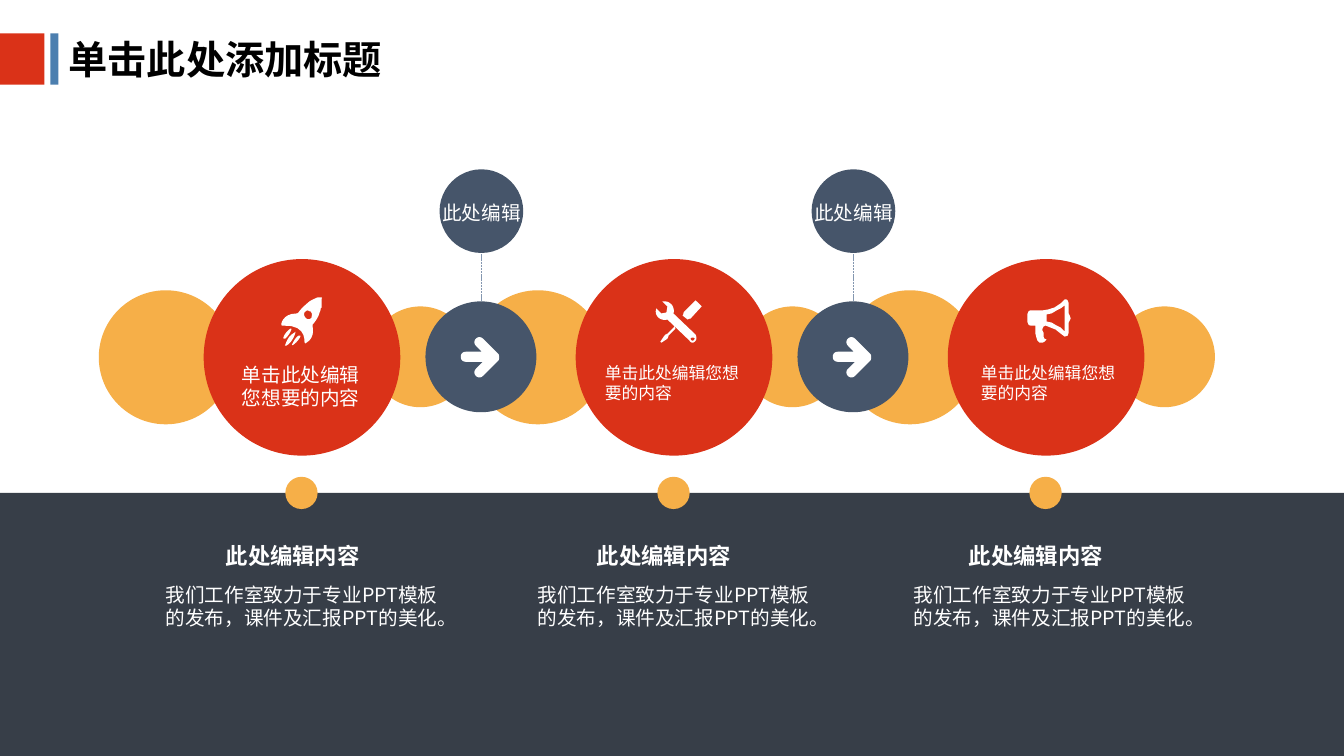
from dataclasses import dataclass

from lxml.etree import SubElement
from pptx import Presentation
from pptx.dml.color import RGBColor
from pptx.enum.dml import MSO_LINE
from pptx.enum.shapes import MSO_CONNECTOR, MSO_SHAPE
from pptx.enum.text import MSO_ANCHOR, MSO_AUTO_SIZE, PP_ALIGN
from pptx.oxml.ns import qn
from pptx.util import Inches, Pt


@dataclass(frozen=True)
class Theme:
    font: str = "Noto Sans CJK SC"
    black: str = "000000"
    white: str = "FFFFFF"
    red: str = "DA3218"
    blue: str = "4C7FAF"
    amber: str = "F6AF48"
    slate: str = "46556A"
    band: str = "222A35"
    dash: str = "8497B0"
    title_size: int = 28
    heading_size: int = 16
    body_size: int = 14
    small_size: int = 12


# Icon outlines in hundredths of an inch: M move, L line, C Bezier curve.
ARROW = """M 37 17 L 22 2 C 20 0 17 0 15 2 C 13 4 13 7 15 9 L 21 15 L 5 15
C 2 15 0 17 0 20 C 0 23 2 25 5 25 L 22 25 L 15 32 C 13 34 13 37 15 39
C 17 41 20 41 22 39 L 37 24 C 38 23 38 22 38 20 C 38 19 38 18 37 17"""
ROCKET = """M 19 38 L 19 39 C 18 41 15 45 12 47 C 11 48 10 47 11 46 C 12 44 14 40 17 38
M 14 34 L 14 35 C 13 39 10 45 5 48 C 4 48 3 48 4 47 C 5 44 7 38 13 35
M 10 31 L 10 32 C 9 35 7 38 4 41 C 2 41 2 41 2 40 C 3 37 5 34 9 31
M 26 13 C 25 13 24 14 23 15 C 22 17 23 20 25 21 C 26 22 29 22 30 20 L 30 19
C 31 17 30 15 29 14 C 28 14 27 13 26 13
M 39 0 L 40 0 C 41 1 40 1 40 1 L 40 10 C 39 11 39 11 39 12 C 39 13 38 15 38 15
C 37 19 35 22 32 26 C 31 26 31 28 31 29 C 32 33 32 41 25 45 C 24 46 23 46 23 44
C 23 39 22 27 1 28 C 0 28 0 27 0 26 C 1 22 5 16 15 16 C 16 16 17 15 17 15
C 19 12 23 8 28 4 C 31 2 34 1 36 0"""
TOOLS = """M 37 37 C 36 37 35 37 35 38 C 35 39 36 40 37 40 C 38 40 39 39 39 38 C 39 37 38 37 37 37
M 19 26 L 20 28 13 35 13 36 12 38 6 42 5 41 9 35 11 33 11 34
M 9 1 C 12 1 14 2 16 4 C 18 6 19 10 18 13 L 40 34 C 41 36 41 39 40 40
C 39 41 38 42 37 42 C 36 42 34 41 34 40 L 12 19 C 9 20 5 19 3 17
C 0 14 0 11 1 8 L 6 13 11 12 12 6 7 1
M 40 0 L 46 6 35 18 C 34 18 32 19 32 19 L 27 15 C 28 14 28 13 28 12"""
MEGAPHONE = """M 43 19 L 42 21 41 23 41 33 40 36 37 37 33 34 28 30 23 28 18 26 16 27 15 29 15 31
16 33 16 35 16 37 17 39 19 40 17 42 15 43 12 43 10 41 9 38 8 34 8 30 8 26 4 26
C 3 26 2 26 1 25 C 1 24 0 23 0 22 L 0 15 C 0 14 1 13 1 12 C 2 11 3 11 4 11
L 15 11 21 10 27 8 33 4 37 0 C 38 0 39 0 40 1 C 40 2 41 3 41 4 L 41 14 42 16
M 37 6 L 33 9 29 11 24 14 19 15 19 22 24 23 29 26 33 28 37 32"""


def flatten(outline, steps=6):
    """Turn an outline into one list of points, in inches, for each contour."""
    contours = []
    for segment in outline.replace("M", "|M").replace("L", "|L").replace("C", "|C").split("|")[1:]:
        command, *numbers = segment.split()
        values = [int(number) / 100 for number in numbers]
        points = list(zip(values[::2], values[1::2]))
        if command == "M":
            contours.append(points)
        elif command == "L":
            contours[-1] += points
        else:
            curve = [contours[-1][-1], *points]
            for step in range(1, steps + 1):
                t = step / steps
                weights = ((1 - t) ** 3, 3 * t * (1 - t) ** 2, 3 * t * t * (1 - t), t ** 3)
                contours[-1].append(tuple(
                    sum(weight * point[axis] for weight, point in zip(weights, curve))
                    for axis in (0, 1)))
    return contours


class SlideBuilder:
    def __init__(self, page, theme):
        self.page, self.theme = page, theme

    def paint(self, shape, color):
        shape.fill.solid()
        shape.fill.fore_color.rgb = RGBColor.from_string(color)
        shape.line.fill.background()
        shape.shadow.inherit = False
        return shape

    def shape(self, kind, left, top, width, height, color):
        area = map(Inches, (left, top, width, height))
        return self.paint(self.page.shapes.add_shape(kind, *area), color)

    def rectangle(self, left, top, width, height, color, opacity=100):
        box = self.shape(MSO_SHAPE.RECTANGLE, left, top, width, height, color)
        if opacity < 100:
            tint = box._element.spPr.find(".//" + qn("a:srgbClr"))
            SubElement(tint, qn("a:alpha"), val=str(opacity * 1000))

    def circle(self, left, top, size, color):
        self.shape(MSO_SHAPE.OVAL, left, top, size, size, color)

    def icon(self, outline, left, top):
        contours = [[(Inches(left + x), Inches(top + y)) for x, y in contour]
                    for contour in flatten(outline)]
        builder = self.page.shapes.build_freeform(*contours[0][0])
        for index, (start, *rest) in enumerate(contours):
            if index:
                builder.move_to(*start)
            builder.add_line_segments(rest, close=True)
        self.paint(builder.convert_to_shape(), self.theme.white)

    def dashed_line(self, x, top, bottom):
        line = self.page.shapes.add_connector(
            MSO_CONNECTOR.STRAIGHT, *map(Inches, (x, bottom, x, top)))
        line.line.color.rgb = RGBColor.from_string(self.theme.dash)
        line.line.width = Pt(0.5)
        line.line.dash_style = MSO_LINE.SQUARE_DOT
        SubElement(line._element.spPr, qn("a:effectLst"))

    def set_text(self, box, text, *, size, color=None, bold=False, align=PP_ALIGN.LEFT, wrap=True):
        frame = box.text_frame
        frame.word_wrap = wrap
        frame.auto_size = MSO_AUTO_SIZE.SHAPE_TO_FIT_TEXT
        frame.vertical_anchor = MSO_ANCHOR.TOP
        para = frame.paragraphs[0]
        para.alignment = align
        span = para.add_run()
        span.text = text
        span.font.size, span.font.bold = Pt(size), bold
        span.font.color.rgb = RGBColor.from_string(color or self.theme.white)
        span.font.name = self.theme.font
        SubElement(span._r.get_or_add_rPr(), qn("a:ea"), typeface=self.theme.font)

    def text(self, text, left, top, width, height, **style):
        box = self.page.shapes.add_textbox(*map(Inches, (left, top, width, height)))
        self.set_text(box, text, **style)

    def title(self, text, left, top, width, height):
        box = self.page.shapes.title
        box.left, box.top, box.width, box.height = map(Inches, (left, top, width, height))
        self.set_text(box, text, size=self.theme.title_size, color=self.theme.black, bold=True)


def main():
    deck = Presentation()
    deck.slide_width, deck.slide_height = Inches(13.33), Inches(7.5)
    theme = Theme()
    slide = SlideBuilder(deck.slides.add_slide(deck.slide_layouts[5]), theme)

    slide.title("单击此处添加标题", 0.58, 0.3, 3.33, 0.57)
    slide.rectangle(0, 0.33, 0.44, 0.51, theme.red)
    slide.rectangle(0.5, 0.33, 0.08, 0.51, theme.blue)
    slide.rectangle(0, 4.89, 13.33, 2.61, theme.band, opacity=90)

    pitch = 3.69
    # icon, icon left, icon top, caption left, caption size, heading left, body left
    stages = [
        (ROCKET, 2.79, 2.95, 2.3, theme.body_size, 2.14, 1.48),
        (TOOLS, 6.5, 2.98, 5.9, theme.small_size, 5.82, 5.17),
        (MEGAPHONE, 10.19, 2.97, 9.63, theme.small_size, 9.51, 8.9),
    ]
    for index, stage in enumerate(stages):
        icon, icon_left, icon_top, caption_left, caption_size, heading_left, body_left = stage
        shift = index * pitch
        slide.circle(0.98 + shift, 2.88, 1.33, theme.amber)
        slide.circle(3.67 + shift, 3.04, 1, theme.amber)
        slide.circle(2.02 + shift, 2.57, 1.95, theme.red)
        slide.circle(2.83 + shift, 4.73, 0.32, theme.amber)
        slide.icon(icon, icon_left, icon_top)
        slide.text("单击此处编辑您想要的内容", caption_left, 3.55, 1.56, 0.57, size=caption_size)
        slide.text("此处编辑内容", heading_left, 5.33, 1.55, 0.37,
                   size=theme.heading_size, bold=True, wrap=False)
        slide.text("我们工作室致力于专业PPT模板的发布，课件及汇报PPT的美化。",
                   body_left, 5.73, 3.02, 0.57, size=theme.body_size, align=PP_ALIGN.CENTER)

    for shift in (0, pitch):
        slide.circle(4.22 + shift, 2.99, 1.1, theme.slate)
        slide.icon(ARROW, 4.57 + shift, 3.34)
        slide.dashed_line(4.77 + shift, 2.51, 2.99)
        slide.circle(4.36 + shift, 1.68, 0.83, theme.slate)
        slide.text("此处编辑", 4.28 + shift, 1.94, 0.99, 0.34,
                   size=theme.body_size, align=PP_ALIGN.CENTER, wrap=False)

    deck.save("out.pptx")


if __name__ == "__main__":
    main()
